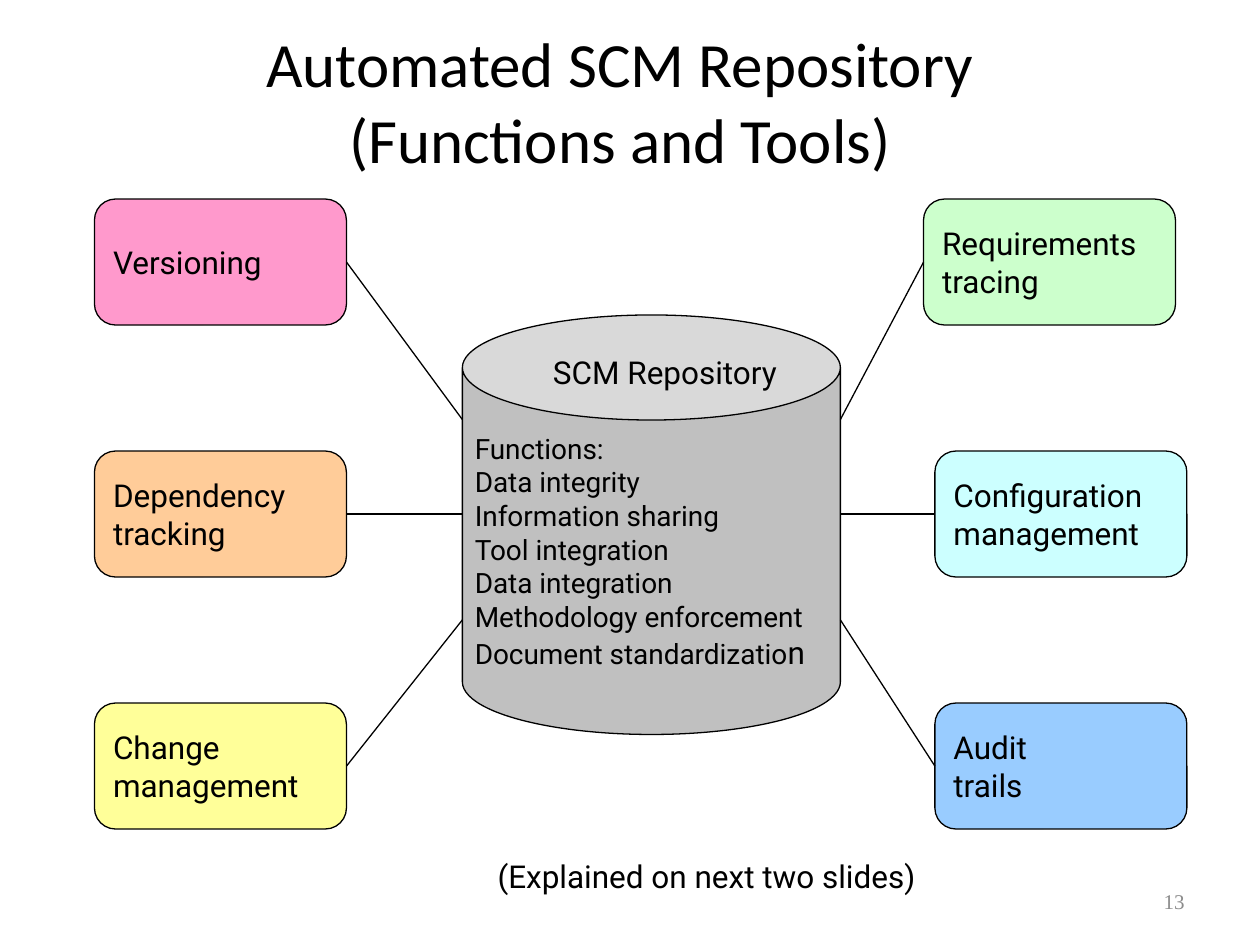
import pptx
import pptx.dml.color
import pptx.enum.shapes
import pptx.enum.text
import pptx.oxml
import pptx.util

Inches = pptx.util.Inches
Pt = pptx.util.Pt
RGBColor = pptx.dml.color.RGBColor
Shape = pptx.enum.shapes.MSO_SHAPE
Align = pptx.enum.text.PP_ALIGN
Anchor = pptx.enum.text.MSO_ANCHOR

BLACK = RGBColor(0x00, 0x00, 0x00)
NUMBER_GRAY = RGBColor(0x8C, 0x8C, 0x8C)
SILVER = RGBColor(0xC0, 0xC0, 0xC0)
PINK = RGBColor(0xFF, 0x99, 0xCC)
ORANGE = RGBColor(0xFF, 0xCC, 0x99)
YELLOW = RGBColor(0xFF, 0xFF, 0x99)
GREEN = RGBColor(0xCC, 0xFF, 0xCC)
CYAN = RGBColor(0xCC, 0xFF, 0xFF)
BLUE = RGBColor(0x99, 0xCC, 0xFF)

TOOL_WIDTH, TOOL_HEIGHT = 2, 1
ROW_TOPS = [1.58 + 2 * row for row in range(3)]
REPOSITORY_BOX = (3.67, 2.5, 3, 3.33)
JOINT_HEIGHTS = [3.33, 4.08, 4.92]
LEFT_TOOLS = [
    (0.75, PINK, ["Versioning"]),
    (0.75, ORANGE, ["Dependency", "tracking"]),
    (0.75, YELLOW, ["Change", "management"]),
]
RIGHT_TOOLS = [
    (7.33, GREEN, ["Requirements", "tracing"]),
    (7.42, CYAN, ["Configuration", "management"]),
    (7.42, BLUE, ["Audit", "trails"]),
]
FUNCTIONS = [
    "Functions:",
    "Data integrity",
    "Information sharing",
    "Tool integration",
    "Data integration",
    "Methodology enforcement",
]


def add_span(para, text, size, font="Roboto", color=BLACK):
    span = para.add_run()
    span.text = text
    span.font.size = Pt(size)
    span.font.name = font
    span.font.color.rgb = color


def add_lines(frame, lines, size):
    for index, line in enumerate(lines):
        para = frame.add_paragraph() if index else frame.paragraphs[0]
        para.alignment = Align.LEFT
        add_span(para, line, size)


def add_text_box(page, box, wrap=True, anchor=Anchor.TOP):
    frame = page.shapes.add_textbox(*map(Inches, box)).text_frame
    frame.word_wrap = wrap
    frame.vertical_anchor = anchor
    return frame


def add_outlined_shape(page, kind, box, fill, adjustment):
    shape = page.shapes.add_shape(kind, *map(Inches, box))
    shape.adjustments[0] = adjustment
    shape.shadow.inherit = False
    shape.fill.solid()
    shape.fill.fore_color.rgb = fill
    shape.line.color.rgb = BLACK
    shape.line.width = Pt(0.75)
    shape.text_frame.word_wrap = True
    shape.text_frame.vertical_anchor = Anchor.MIDDLE
    return shape.text_frame


def add_title(page, box):
    frame = add_text_box(page, box, anchor=Anchor.MIDDLE)
    para = frame.paragraphs[0]
    para.alignment = Align.CENTER
    add_span(para, "Automated SCM Repository", 36, "Calibri")
    para.add_line_break()
    add_span(para, "(Functions and Tools)", 36, "Calibri")


def add_repository(page, box):
    left, top, width, height = box
    frame = add_outlined_shape(page, Shape.CAN, box, SILVER, 0.278)
    add_lines(frame, FUNCTIONS, 16)
    para = frame.add_paragraph()
    para.alignment = Align.LEFT
    add_span(para, "Document standardizatio", 16)
    add_span(para, "n", 18)
    label = add_text_box(page, (left + 0.62, top + 0.25, 2.04, 0.4), wrap=False)
    add_lines(label, ["SCM Repository"], 18)


def add_link(page, start, end):
    link = page.shapes.add_connector(
        pptx.enum.shapes.MSO_CONNECTOR.STRAIGHT, *map(Inches, start + end)
    )
    link.line.color.rgb = BLACK
    link.line.width = Pt(0.75)
    effects = pptx.oxml.parse_xml(
        '<a:effectLst xmlns:a="http://schemas.openxmlformats.org/drawingml/2006/main"/>'
    )
    link._element.spPr.append(effects)


def add_tools(page, tools, tool_edge, joint_x):
    for (left, fill, lines), top, joint_y in zip(tools, ROW_TOPS, JOINT_HEIGHTS):
        box = (left, top, TOOL_WIDTH, TOOL_HEIGHT)
        frame = add_outlined_shape(page, Shape.ROUNDED_RECTANGLE, box, fill, 0.167)
        frame.margin_left = Inches(0.1)
        add_lines(frame, lines, 18)
        start = (left + tool_edge, top + TOOL_HEIGHT / 2)
        add_link(page, start, (joint_x, joint_y))


def add_footer(page, note_box, number_box):
    add_lines(add_text_box(page, note_box, wrap=False), ["(Explained on next two slides)"], 18)
    para = add_text_box(page, number_box, anchor=Anchor.MIDDLE).paragraphs[0]
    para.alignment = Align.RIGHT
    add_span(para, "13", 12, "Times New Roman", NUMBER_GRAY)


def main():
    deck = pptx.Presentation()
    deck.slide_width, deck.slide_height = Inches(10), Inches(7.5)
    page = deck.slides.add_slide(deck.slide_layouts[6])
    add_title(page, (0.67, 0.17, 8.5, 1.25))
    add_repository(page, REPOSITORY_BOX)
    repository_left, _, repository_width, _ = REPOSITORY_BOX
    add_tools(page, LEFT_TOOLS, TOOL_WIDTH, repository_left)
    add_tools(page, RIGHT_TOOLS, 0, repository_left + repository_width)
    add_footer(page, (3.85, 6.75, 3.55, 0.4), (7.17, 6.95, 2.33, 0.4))
    deck.save("out.pptx")


if __name__ == "__main__":
    main()
